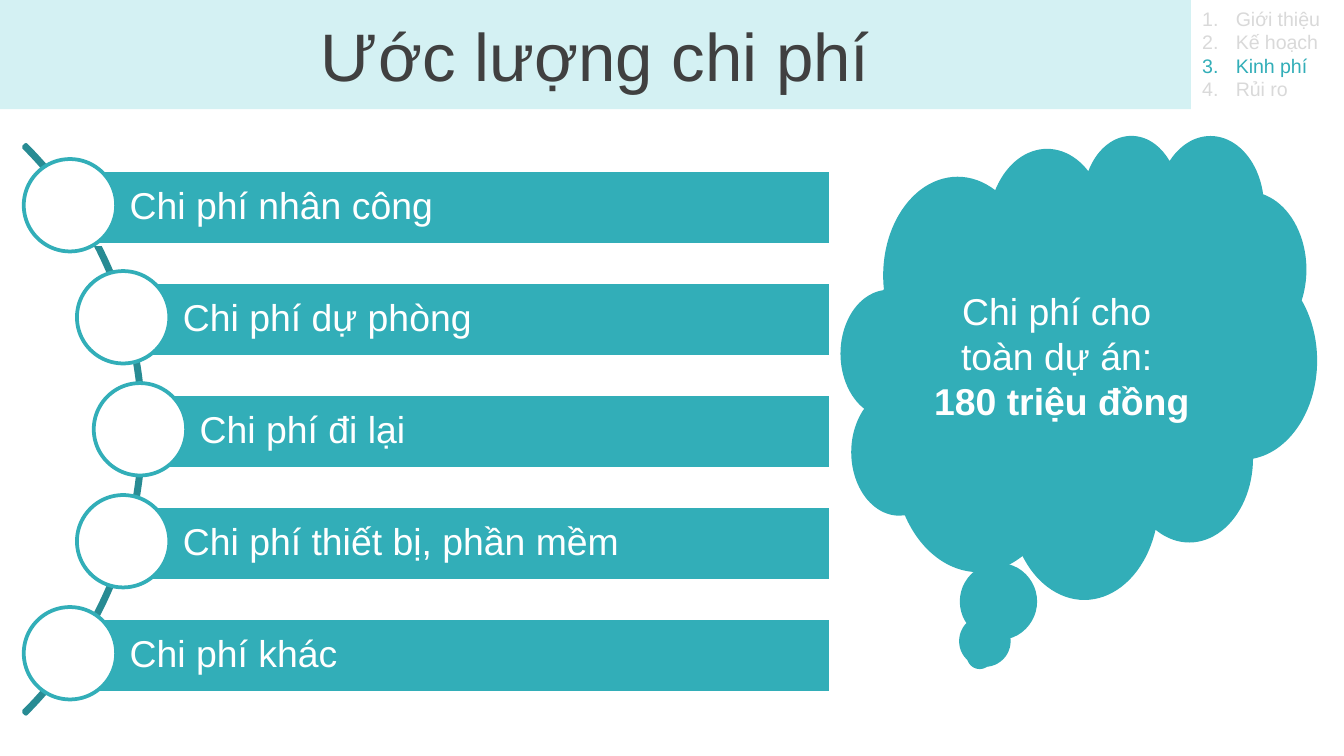
"""Build the cost estimate slide with a curved list and a thought cloud."""
from lxml.etree import SubElement
from pptx import Presentation
from pptx.dml.color import RGBColor
from pptx.enum.shapes import MSO_SHAPE as Shape
from pptx.enum.text import MSO_ANCHOR as Anchor, PP_ALIGN as Align
from pptx.oxml.ns import qn
from pptx.util import Pt

TEAL = RGBColor(0x32, 0xAE, 0xB8)
DARK_TEAL = RGBColor(0x28, 0x8B, 0x93)
PALE_TEAL = RGBColor(0xD4, 0xF1, 0xF3)
CHARCOAL = RGBColor(0x40, 0x40, 0x40)
SILVER = RGBColor(0xD9, 0xD9, 0xD9)
WHITE = RGBColor(0xFF, 0xFF, 0xFF)

CHAPTERS = ["Giới thiệu", "Kế hoạch", "Kinh phí", "Rủi ro"]
CURRENT_CHAPTER = "Kinh phí"
COSTS = [
    ("Chi phí nhân công", 37.5),
    ("Chi phí dự phòng", 66),
    ("Chi phí đi lại", 75),
    ("Chi phí thiết bị, phần mềm", 66),
    ("Chi phí khác", 37.5),
]
FIRST_CENTER, ROW_PITCH = 110, 60
BAR_RIGHT, BAR_HEIGHT, DOT_SIZE = 445, 40, 49.5


def apply(target, values):
    for name, value in values.items():
        setattr(target, name, value)


def add_figure(slide, kind, box, fill=None, line=None):
    figure = slide.shapes.add_shape(kind, *map(Pt, box))
    figure.shadow.inherit = False
    if fill is None:
        figure.fill.background()
    else:
        figure.fill.solid()
        figure.fill.fore_color.rgb = fill
    if line is None:
        figure.line.fill.background()
    else:
        figure.line.color.rgb = line
        figure.line.width = Pt(2)
    return figure


def write(frame, lines, size, color, frame_format, paragraph_format):
    apply(frame, {"word_wrap": True, **frame_format})
    for index, (words, font_format) in enumerate(lines):
        paragraph = frame.paragraphs[0] if index == 0 else frame.add_paragraph()
        apply(paragraph, paragraph_format)
        run = paragraph.add_run()
        run.text = words
        run.font.color.rgb = color
        apply(run.font, {"name": "Arial", "size": Pt(size), **font_format})


def number(paragraph):
    properties = paragraph._p.get_or_add_pPr()
    apply_indent = {"marL": Pt(18), "indent": Pt(-18)}
    for name, value in apply_indent.items():
        properties.set(name, str(value))
    SubElement(properties, qn("a:buFont"), typeface="+mj-lt")
    SubElement(properties, qn("a:buAutoNum"), type="arabicPeriod")


def add_agenda(slide):
    agenda = slide.shapes.add_textbox(Pt(637), Pt(0), Pt(83), Pt(58)).text_frame
    write(agenda, [(chapter, {}) for chapter in CHAPTERS], 10.5, SILVER, {}, {})
    for paragraph, chapter in zip(agenda.paragraphs, CHAPTERS):
        number(paragraph)
        if chapter == CURRENT_CHAPTER:
            paragraph.runs[0].font.color.rgb = TEAL


def add_title(slide):
    banner = add_figure(slide, Shape.RECTANGLE, (0, 0, 638, 58.5), PALE_TEAL)
    write(banner.text_frame, [("Ước lượng chi phí", {})], 36, CHARCOAL,
          {"vertical_anchor": Anchor.MIDDLE}, {"alignment": Align.CENTER})


def add_curve(slide):
    curve = add_figure(slide, Shape.BLOCK_ARC, (-354, 14.5, 431, 431), line=DARK_TEAL)
    for index, value in enumerate((189, 27, 0.004)):
        curve.adjustments[index] = value


def add_cost(slide, label, left, center):
    bar = add_figure(slide, Shape.RECTANGLE,
                     (left, center + 1 - BAR_HEIGHT / 2, BAR_RIGHT - left, BAR_HEIGHT),
                     TEAL, WHITE)
    insets = {"margin_left": Pt(32), "margin_right": Pt(4),
              "margin_top": Pt(4), "margin_bottom": Pt(4)}
    write(bar.text_frame, [(label, {})], 20, WHITE,
          {"vertical_anchor": Anchor.MIDDLE, **insets},
          {"alignment": Align.LEFT, "line_spacing": 0.9})
    add_figure(slide, Shape.OVAL,
               (left - DOT_SIZE / 2, center - DOT_SIZE / 2, DOT_SIZE, DOT_SIZE),
               WHITE, TEAL)


def add_total(slide):
    cloud = add_figure(slide, Shape.CLOUD_CALLOUT, (450.5, 72, 255, 248.5), TEAL)
    lines = [("Chi phí cho ", {}), ("toàn dự án: ", {}),
             ("180 triệu đồng", {"bold": True})]
    write(cloud.text_frame, lines, 20, WHITE,
          {"vertical_anchor": Anchor.MIDDLE}, {"alignment": Align.CENTER})


def main():
    deck = Presentation()
    apply(deck, {"slide_width": Pt(720), "slide_height": Pt(405)})
    slide = deck.slides.add_slide(deck.slide_layouts[6])
    add_agenda(slide)
    add_title(slide)
    add_curve(slide)
    for row, (label, left) in enumerate(COSTS):
        add_cost(slide, label, left, FIRST_CENTER + row * ROW_PITCH)
    add_total(slide)
    deck.save("out.pptx")


main()
